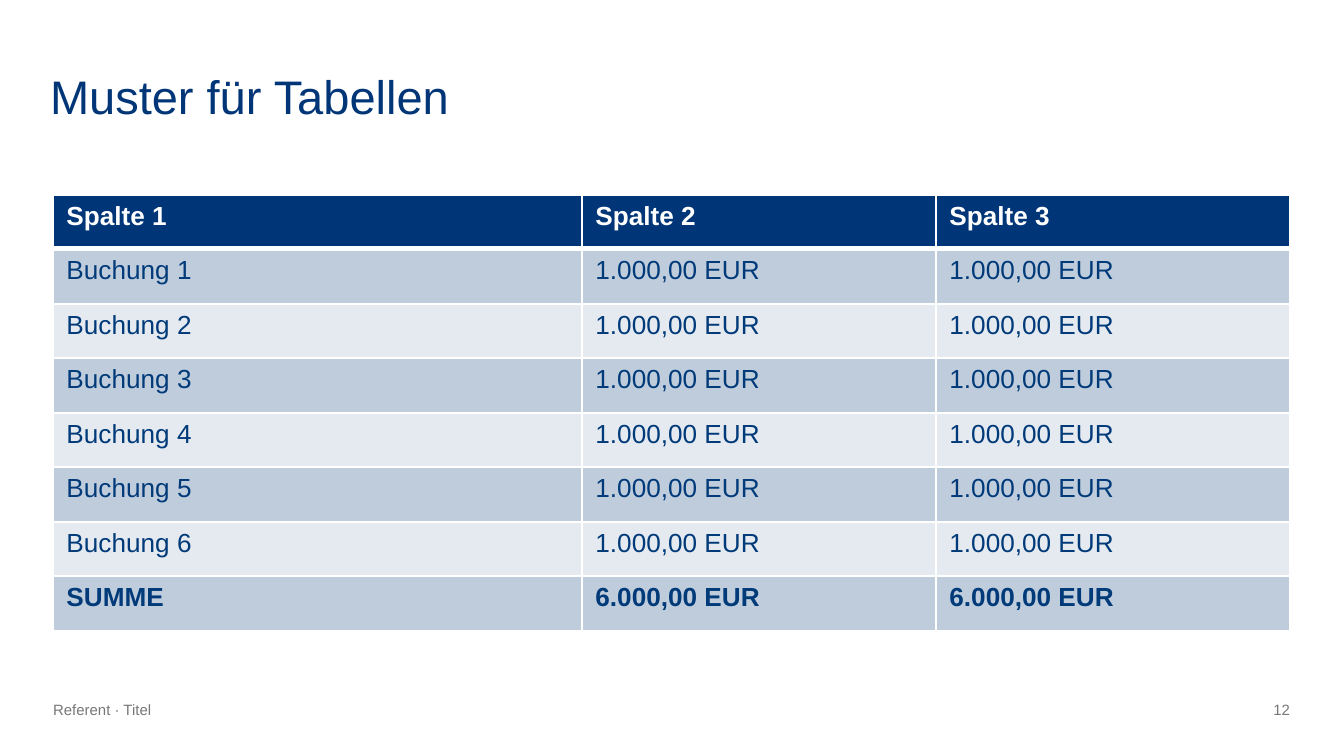
from dataclasses import dataclass

from lxml import etree
from pptx import Presentation
from pptx import util as u
from pptx.dml import color
from pptx.enum import text
from pptx.oxml import ns

SCALE = 914400 / 134.4
FONT = "Arial"
COLORS = {
    "navy": "003677",
    "ink": "003A79",
    "gray": "777776",
    "white": "FFFFFF",
}


@dataclass
class Label:
    wording: str
    left: int
    top: int
    width: int
    height: int
    size: float
    tint: str
    align: text.PP_ALIGN = text.PP_ALIGN.LEFT
    spacing: float | None = None


@dataclass
class RowStyle:
    tint: str
    bold: bool
    opacity: int
    top_line: int = 1
    bottom_line: int = 1


LABELS = [
    Label("12", 1234, 704, 56, 11, 8, "gray", text.PP_ALIGN.RIGHT),
    Label("Referent · Titel", 53, 692, 1238, 35, 8, "gray"),
    Label("Muster für Tabellen", 50, 66, 1241, 52, 25.2, "navy", spacing=34),
]
TABLE_LEFT, TABLE_TOP, TABLE_HEIGHT = 53, 195, 436
COLUMN_WIDTHS = [529, 354, 354]
ROWS = [
    ["Spalte 1", "Spalte 2", "Spalte 3"],
    *[[f"Buchung {number}"] + ["1.000,00 EUR"] * 2 for number in range(1, 7)],
    ["SUMME"] + ["6.000,00 EUR"] * 2,
]


def px(length: int) -> u.Emu:
    return u.Emu(round(length * SCALE))


def write(frame, wording: str, size: float, tint: str, bold: bool = False):
    para = frame.paragraphs[0]
    span = para.add_run()
    span.text = wording
    for name, value in {"name": FONT, "size": u.Pt(size), "bold": bold}.items():
        setattr(span.font, name, value)
    span.font.color.rgb = color.RGBColor.from_string(COLORS[tint])
    return para


def draw_label(page, label: Label) -> None:
    box = page.shapes.add_textbox(
        px(label.left), px(label.top), px(label.width), px(label.height)
    )
    frame = box.text_frame
    settings = {
        "word_wrap": True,
        "vertical_anchor": text.MSO_ANCHOR.MIDDLE,
        "margin_left": 0,
        "margin_top": 0,
        "margin_right": 0,
        "margin_bottom": 0,
    }
    for name, value in settings.items():
        setattr(frame, name, value)
    para = write(frame, label.wording, label.size, label.tint)
    para.alignment = label.align
    if label.spacing:
        para.line_spacing = u.Pt(label.spacing)


def add_color(parent, tint: str):
    fill = etree.SubElement(parent, ns.qn("a:solidFill"))
    return etree.SubElement(fill, ns.qn("a:srgbClr"), val=COLORS[tint])


def draw_cell(cell, wording: str, style: RowStyle) -> None:
    write(cell.text_frame, wording, 14, style.tint, style.bold)
    properties = cell._tc.get_or_add_tcPr()
    borders = {"lnL": 1, "lnR": 1, "lnT": style.top_line, "lnB": style.bottom_line}
    for side, width in borders.items():
        line = etree.SubElement(properties, ns.qn(f"a:{side}"), w=str(u.Pt(width)))
        add_color(line, "white")
    shade = add_color(properties, "navy")
    if style.opacity < 100:
        etree.SubElement(shade, ns.qn("a:alpha"), val=str(style.opacity * 1000))


def row_style(index: int) -> RowStyle:
    if index == 0:
        return RowStyle("white", True, 100, bottom_line=3)
    return RowStyle(
        "ink",
        index == len(ROWS) - 1,
        25 if index % 2 else 10,
        top_line=3 if index == 1 else 1,
    )


def draw_table(page) -> None:
    table = page.shapes.add_table(
        len(ROWS), len(COLUMN_WIDTHS), px(TABLE_LEFT), px(TABLE_TOP),
        px(sum(COLUMN_WIDTHS)), px(TABLE_HEIGHT),
    ).table
    table.horz_banding = False
    for column, width in zip(table.columns, COLUMN_WIDTHS):
        column.width = px(width)
    edges = [TABLE_HEIGHT * index // len(ROWS) for index in range(len(ROWS) + 1)]
    for index, wordings in enumerate(ROWS):
        table.rows[index].height = px(edges[index + 1] - edges[index])
        for cell, wording in zip(table.rows[index].cells, wordings):
            draw_cell(cell, wording, row_style(index))


def main() -> None:
    deck = Presentation()
    deck.slide_width, deck.slide_height = px(1344), px(756)
    page = deck.slides.add_slide(deck.slide_layouts[6])
    for label in LABELS:
        draw_label(page, label)
    draw_table(page)
    deck.save("out.pptx")


if __name__ == "__main__":
    main()
